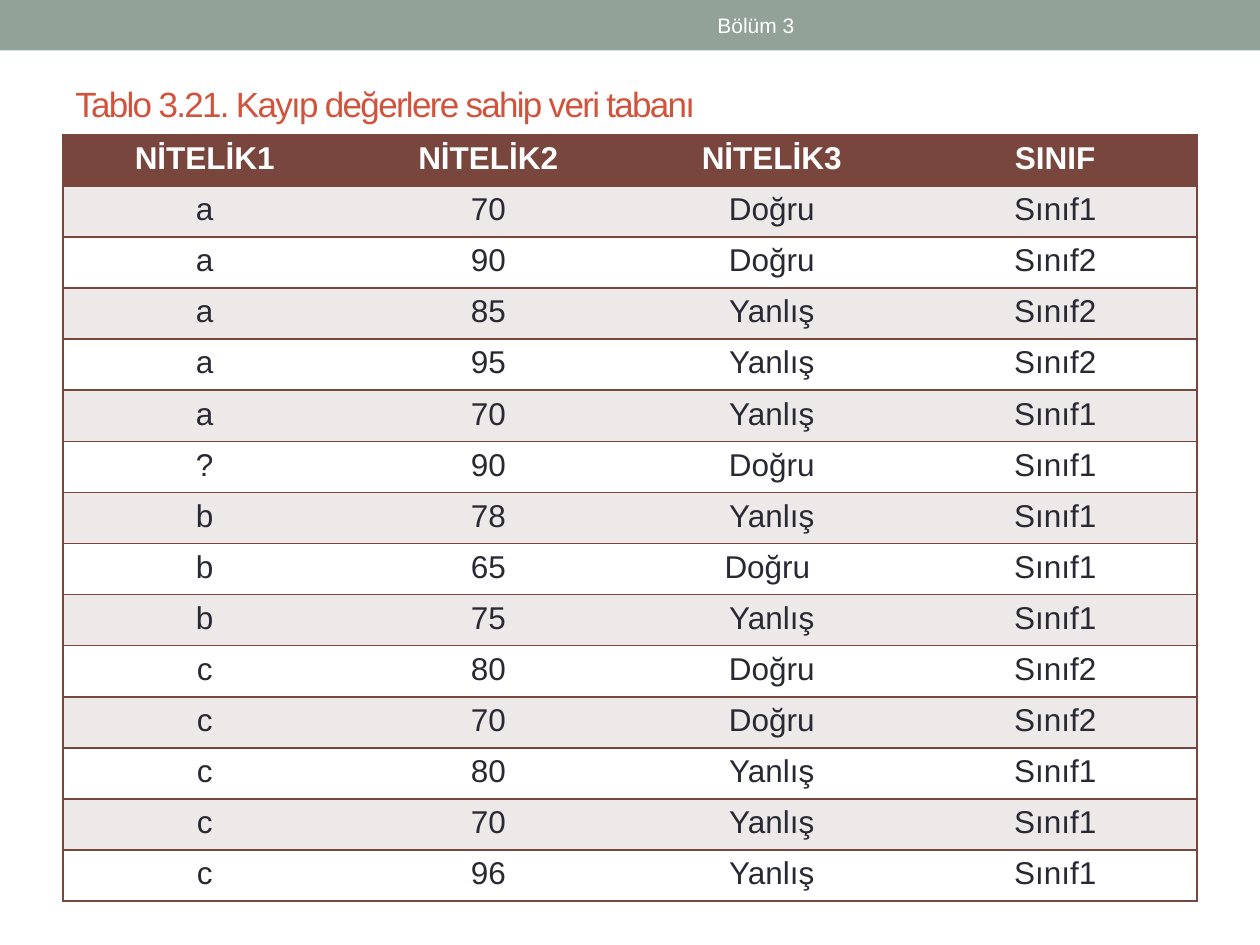
import pptx
import pptx.util
import pptx.dml.color
import pptx.enum.shapes
import pptx.enum.text
import lxml.etree

Pt = pptx.util.Pt
ALIGN = pptx.enum.text.PP_ALIGN
BROWN = "79463D"


def rgb(value):
    return pptx.dml.color.RGBColor.from_string(value)


def write(tf, text, size=18, color="292934", bold=False, align=ALIGN.CENTER, spacing=0):
    tf.word_wrap = True
    tf.vertical_anchor = pptx.enum.text.MSO_ANCHOR.MIDDLE
    p = tf.paragraphs[0]
    p.alignment = align
    r = p.add_run()
    r.text = text
    r.font.name = "Arial"
    r.font.size = Pt(size)
    r.font.bold = bold
    r.font.color.rgb = rgb(color)
    if spacing:
        r.font._element.set("spc", str(spacing * 100))


prs = pptx.Presentation()
prs.slide_width, prs.slide_height = Pt(720), Pt(540)
s = prs.slides.add_slide(prs.slide_layouts[6])

# Top band
sp = s.shapes.add_shape(pptx.enum.shapes.MSO_SHAPE.RECTANGLE, 0, 0, Pt(720), Pt(28.8))
sp.shadow.inherit = False
sp.fill.solid()
sp.fill.fore_color.rgb = rgb("93A299")
sp.line.fill.background()

# Title
sp = s.shapes.add_textbox(Pt(36), Pt(41.8), Pt(648), Pt(35.2))
write(sp.text_frame, "Tablo 3.21. Kayıp değerlere sahip veri tabanı",
      size=20, color="D2533C", align=ALIGN.LEFT, spacing=-1)

# Table
rows = [
    ("NİTELİK1", "NİTELİK2", "NİTELİK3", "SINIF"),
    ("a", "70", "Doğru", "Sınıf1"),
    ("a", "90", "Doğru", "Sınıf2"),
    ("a", "85", "Yanlış", "Sınıf2"),
    ("a", "95", "Yanlış", "Sınıf2"),
    ("a", "70", "Yanlış", "Sınıf1"),
    ("?", "90", "Doğru", "Sınıf1"),
    ("b", "78", "Yanlış", "Sınıf1"),
    ("b", "65", "Doğru ", "Sınıf1"),
    ("b", "75", "Yanlış", "Sınıf1"),
    ("c", "80", "Doğru", "Sınıf2"),
    ("c", "70", "Doğru", "Sınıf2"),
    ("c", "80", "Yanlış", "Sınıf1"),
    ("c", "70", "Yanlış", "Sınıf1"),
    ("c", "96", "Yanlış", "Sınıf1"),
]
row_height = 29.2
table = s.shapes.add_table(len(rows), 4, Pt(36), Pt(77), Pt(648),
                           Pt(row_height * len(rows))).table
ns = "http://schemas.openxmlformats.org/drawingml/2006/main"
line = f'<a:ln{{}} xmlns:a="{ns}" w="12700">{{}}</a:ln{{}}>'
solid = f'<a:solidFill><a:srgbClr val="{BROWN}"/></a:solidFill>'

for i, row in enumerate(rows):
    table.rows[i].height = Pt(row_height)
    for j, text in enumerate(row):
        cell = table.cell(i, j)
        header = i == 0
        write(cell.text_frame, text, color="FFFFFF" if header else "292934", bold=header)
        cell.vertical_anchor = pptx.enum.text.MSO_ANCHOR.TOP
        cell.fill.solid()
        cell.fill.fore_color.rgb = rgb(BROWN if header else "ECE9E8" if i % 2 else "FFFFFF")
        # Horizontal rules everywhere, vertical ones only on the outer edges
        visible = {"L": j == 0, "R": j == 3, "T": True, "B": True}
        for k, (side, shown) in enumerate(visible.items()):
            xml = line.format(side, solid if shown else "<a:noFill/>", side)
            cell._tc.get_or_add_tcPr().insert(k, lxml.etree.fromstring(xml))

# Chapter label in the band
sp = s.shapes.add_textbox(Pt(270), Pt(1.4), Pt(324), Pt(26))
write(sp.text_frame, "Bölüm 3", size=12, color="FFFFFF")

prs.save("out.pptx")
